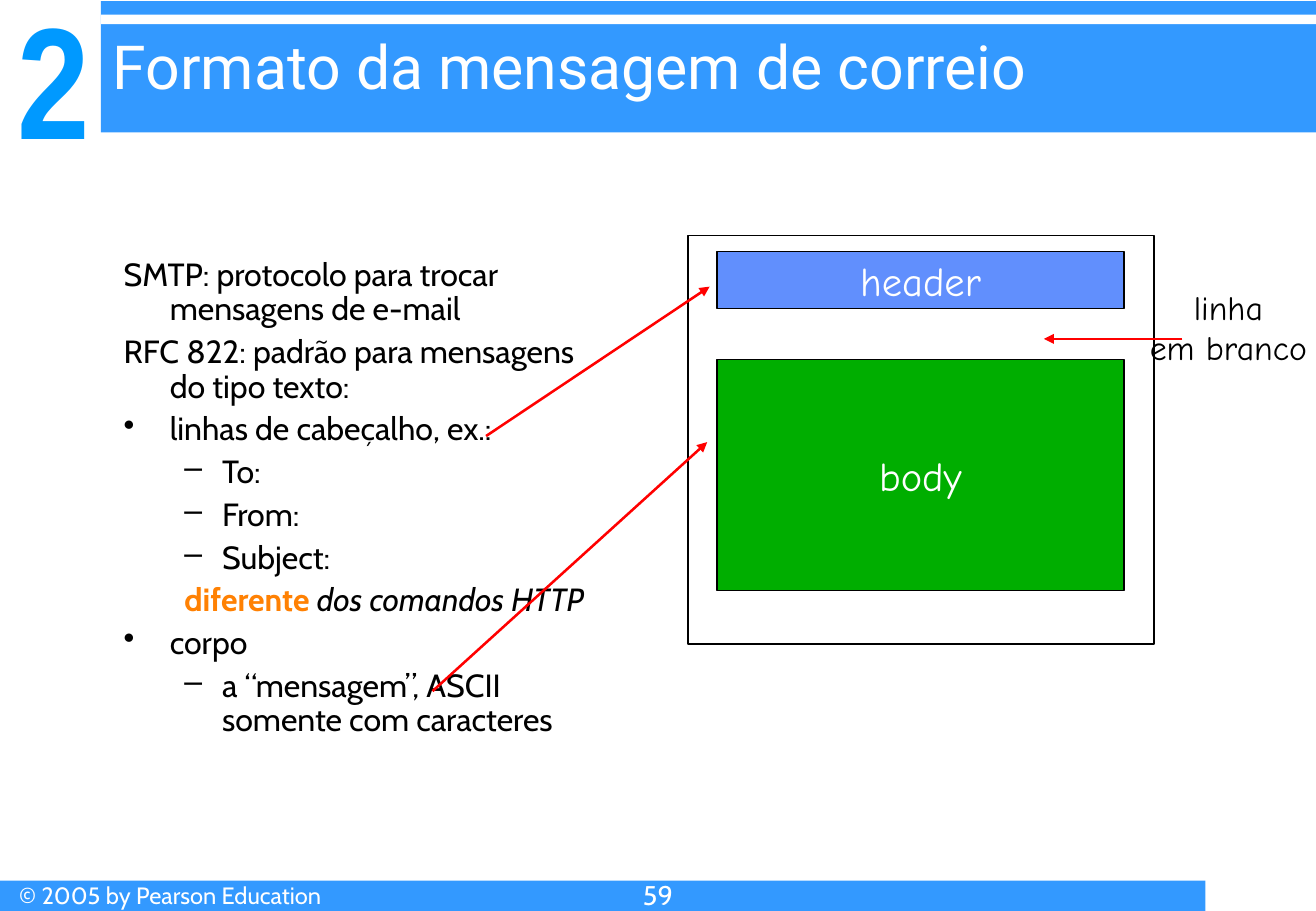
from lxml import etree
from pptx import Presentation
from pptx import util as u
from pptx.dml.color import RGBColor
from pptx.enum import shapes, text
from pptx.oxml.ns import qn

PX = 9144  # 100 px to the inch
BLUE, WHITE, BLACK, RED = "3399FF", "FFFFFF", "000000", "FF0000"
CENTER = text.PP_ALIGN.CENTER
TOP, MIDDLE, BOTTOM = text.MSO_ANCHOR.TOP, text.MSO_ANCHOR.MIDDLE, text.MSO_ANCHOR.BOTTOM

deck = Presentation()
deck.slide_width, deck.slide_height = 1083 * PX, 750 * PX
page = deck.slides.add_slide(deck.slide_layouts[6])


def color(value):
    return RGBColor.from_string(value)


def write(box, paragraphs, name, size, ink, align=None, anchor=TOP, wrap=True, inset=(10, 5)):
    """Fill a box; each paragraph is a list of (words, font values)."""
    frame = box.text_frame
    across, down = (side * PX for side in inset)
    layout = {"word_wrap": wrap, "vertical_anchor": anchor, "margin_left": across,
              "margin_right": across, "margin_top": down, "margin_bottom": down}
    for key, value in layout.items():
        setattr(frame, key, value)
    for number, spans in enumerate(paragraphs):
        para = frame.add_paragraph() if number else frame.paragraphs[0]
        para.alignment = align
        for words, values in spans:
            span = para.add_run()
            span.text = words
            look = {"name": name, "size": u.Pt(size), "ink": ink} | values
            span.font.color.rgb = color(look.pop("ink"))
            for key, value in look.items():
                setattr(span.font, key, value)
    return frame


# Bands and message boxes: place, fill, line width, label
rectangles = [
    ((83, 1, 1000, 108), BLUE, 0, ""),
    ((83, 12, 1000, 8), WHITE, 0, ""),
    ((0, 725, 992, 25), BLUE, 0, ""),
    ((590, 207, 335, 47), "618FFD", 0.75, "header"),
    ((590, 296, 335, 190), "00AE00", 0.75, "body"),
    ((566, 194, 384, 336), None, 1, ""),
]
for place, fill, line, label in rectangles:
    box = page.shapes.add_shape(shapes.MSO_SHAPE.RECTANGLE, *(n * PX for n in place))
    box.shadow.inherit = False
    if fill:
        box.fill.solid()
        box.fill.fore_color.rgb = color(fill)
    else:
        box.fill.background()
    if line:
        box.line.color.rgb = color(BLACK)
        box.line.width = u.Pt(line)
    else:
        box.line.fill.background()
    if label:
        write(box, [[(label, {})]], "Comic Neue", 24, WHITE, CENTER, MIDDLE, False)

# Single texts: place, lines, format
labels = [
    ((3, -16, 83, 157), ["2"], {"name": "Arial Narrow", "size": 94, "ink": "0099FF",
                                "align": CENTER, "anchor": BOTTOM, "inset": (0, 0)}),
    ((83, 19, 1000, 83), ["Formato da mensagem de correio"],
     {"name": "Roboto", "size": 36, "ink": WHITE}),
    ((936, 231, 150, 77), ["linha", "em branco"],
     {"name": "Comic Neue", "size": 20, "ink": BLACK, "align": CENTER, "wrap": False}),
    ((6, 720, 333, 34), ["© 2005 by Pearson Education"],
     {"name": "Cabin", "size": 14, "ink": WHITE}),
    ((0, 718, 1083, 50), ["59"],
     {"name": "Cabin", "size": 16, "ink": WHITE, "align": CENTER}),
]
for place, lines, look in labels:
    box = page.shapes.add_textbox(*(n * PX for n in place))
    bold = {"bold": look["name"] == "Arial Narrow"}
    write(box, [[(words, bold)] for words in lines], **look)

# Outline: level, bullet, spans
outline = [
    (0, "", [("SMTP: protocolo para trocar mensagens de e-mail", {})]),
    (0, "", [("RFC 822: padrão para mensagens do tipo texto:", {})]),
    (0, "•", [("linhas de cabeçalho, ex.:", {})]),
    (1, "–", [("To:", {})]),
    (1, "–", [("From:", {})]),
    (1, "–", [("Subject:", {})]),
    (1, "", [("diferente ", {"ink": "FF8103", "bold": True}),
             ("dos comandos HTTP", {"italic": True})]),
    (0, "•", [("corpo", {})]),
    (1, "–", [("a “mensagem”, ASCII somente com caracteres", {})]),
]
indents = [(38, -38), (81, -31)]
box = page.shapes.add_textbox(*(n * PX for n in (92, 208, 416, 450)))
frame = write(box, [spans for _, _, spans in outline], "Cabin", 19, BLACK)
for number, (para, (level, bullet, _)) in enumerate(zip(frame.paragraphs, outline)):
    margin, hanging = indents[level]
    props = para._p.get_or_add_pPr()
    props.set("marL", str(margin * PX))
    props.set("indent", str(hanging * PX))
    if bullet:
        etree.SubElement(props, qn("a:buChar"), char=bullet)
    else:
        etree.SubElement(props, qn("a:buNone"))
    para.level = level
    para.line_spacing = 0.9
    if number:
        para.space_before = u.Pt(4.8)

# Red arrows from the notes to the message parts
arrows = [(400, 359, 584, 236), (356, 569, 582, 364), (973, 279, 859, 279)]
for ends in arrows:
    arrow = page.shapes.add_connector(shapes.MSO_CONNECTOR.STRAIGHT, *(n * PX for n in ends))
    arrow.line.color.rgb = color(RED)
    arrow.line.width = u.Pt(1.5)
    etree.SubElement(arrow.line._get_or_add_ln(), qn("a:tailEnd"), type="triangle")
    etree.SubElement(arrow._element.spPr, qn("a:effectLst"))

deck.save("out.pptx")
